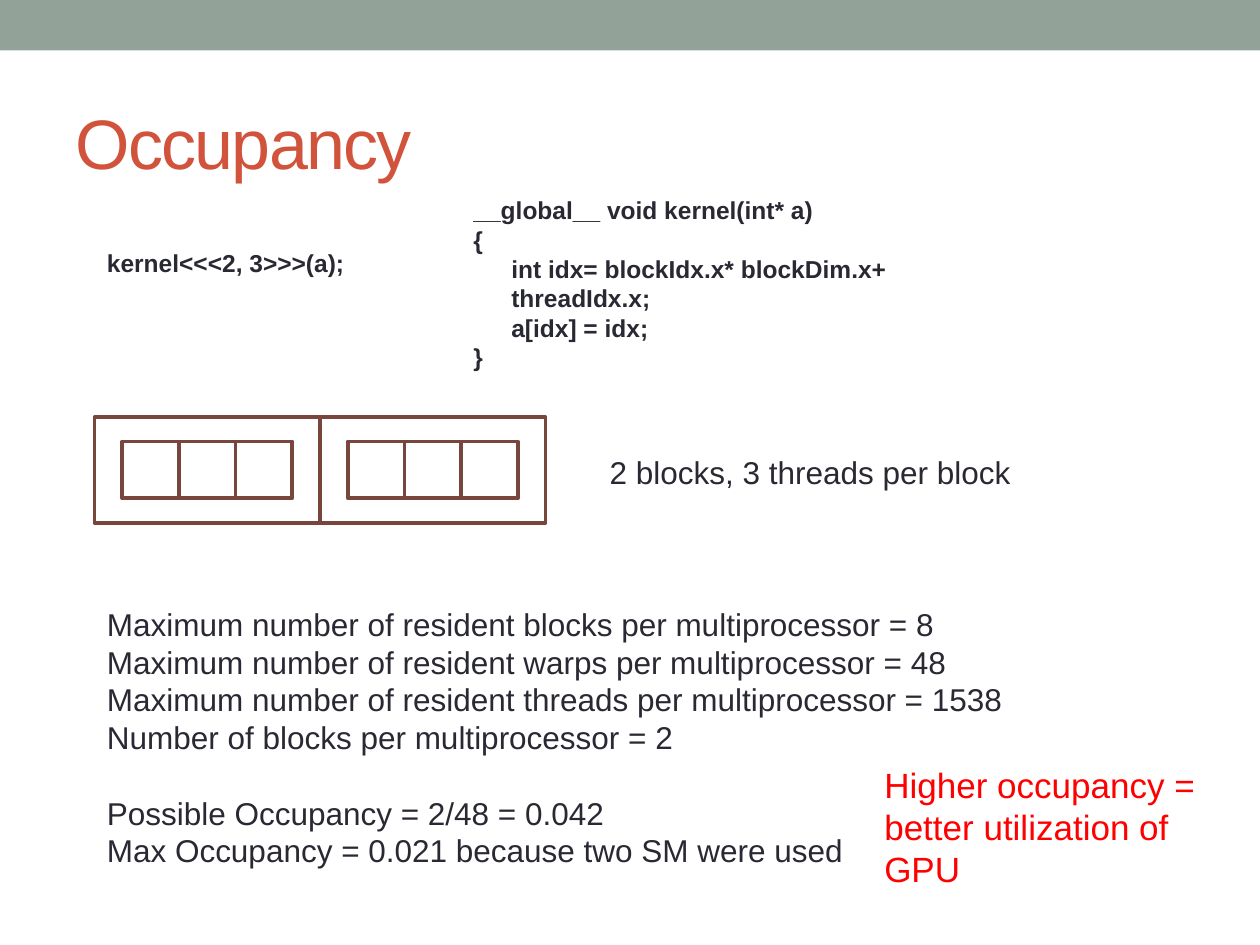
from pptx import Presentation
from pptx.dml.color import RGBColor
from pptx.enum.shapes import MSO_SHAPE
from pptx.enum.text import MSO_ANCHOR, MSO_AUTO_SIZE, PP_ALIGN
from pptx.util import Inches, Pt

COLORS = {"bar": "93A299", "title": "D2533C", "text": "292934",
          "outline": "79463D", "paper": "FFFFFF", "alert": "FF0000"}
FONT = "Arial"

TITLE = "Occupancy"
LAUNCH = ["kernel<<<2, 3>>>(a);"]
KERNEL = [
    "__global__ void kernel(int* a)",
    "{",
    "int idx= blockIdx.x* blockDim.x+ threadIdx.x;",
    "a[idx] = idx;",
    "}",
]
KERNEL_BODY = (2, 3)
CAPTION = ["2 blocks, 3 threads per block"]
LIMITS = [
    "Maximum number of resident blocks per multiprocessor = 8",
    "Maximum number of resident warps per multiprocessor = 48",
    "Maximum number of resident threads per multiprocessor = 1538",
    "Number of blocks per multiprocessor = 2",
    "Possible Occupancy = 2/48 = 0.042",
    "Max Occupancy = 0.021 because two SM were used",
]
FIRST_RESULT = 4
CONCLUSION = ["Higher occupancy = better utilization of GPU"]

BLOCKS, THREADS = 2, 3
BLOCK_LEFT, BLOCK_TOP, BLOCK_WIDTH, BLOCK_HEIGHT = 0.75, 3.31, 1.79, 0.84
THREAD_SIZE = 0.45


def color(name):
    return RGBColor.from_string(COLORS[name])


def style(span, size, tint, bold=False):
    span.font.name = FONT
    span.font.size = Pt(size)
    span.font.bold = bold
    span.font.color.rgb = color(tint)


def add_text(page, place, lines, size, tint="text", bold=False, wrap=True):
    box = page.shapes.add_textbox(*map(Inches, place))
    frame = box.text_frame
    frame.word_wrap = wrap
    frame.auto_size = MSO_AUTO_SIZE.SHAPE_TO_FIT_TEXT
    for index, line in enumerate(lines):
        para = frame.add_paragraph() if index else frame.paragraphs[0]
        span = para.add_run()
        span.text = line
        style(span, size, tint, bold)
    return frame.paragraphs


def add_rect(shapes, place, fill, outline=None):
    rect = shapes.add_shape(MSO_SHAPE.RECTANGLE, *map(Inches, place))
    rect.shadow.inherit = False
    rect.fill.solid()
    rect.fill.fore_color.rgb = color(fill)
    if outline:
        rect.line.color.rgb = color(outline)
        rect.line.width = Pt(2.08)
    else:
        rect.line.fill.background()


def add_title(page):
    title = page.shapes.title
    title.left, title.top, title.width, title.height = map(
        Inches, (0.5, 0.58, 9, 1.08))
    title.text_frame.vertical_anchor = MSO_ANCHOR.MIDDLE
    para = title.text_frame.paragraphs[0]
    para.alignment = PP_ALIGN.LEFT
    span = para.add_run()
    span.text = TITLE
    style(span, 40, "title")
    span.font._element.set("spc", "-100")


def add_blocks(page):
    """Draw each block with its row of threads centred inside it."""
    group = page.shapes.add_group_shape()
    inset = (BLOCK_WIDTH - THREADS * THREAD_SIZE) / 2
    thread_top = BLOCK_TOP + (BLOCK_HEIGHT - THREAD_SIZE) / 2
    for block in range(BLOCKS):
        left = BLOCK_LEFT + block * BLOCK_WIDTH
        add_rect(group.shapes, (left, BLOCK_TOP, BLOCK_WIDTH, BLOCK_HEIGHT),
                 "paper", "outline")
        for thread in range(THREADS):
            thread_left = left + inset + thread * THREAD_SIZE
            add_rect(group.shapes,
                     (thread_left, thread_top, THREAD_SIZE, THREAD_SIZE),
                     "paper", "outline")


def main():
    deck = Presentation()
    deck.slide_width, deck.slide_height = Inches(10), Inches(7.5)
    page = deck.slides.add_slide(deck.slide_layouts[5])

    add_rect(page.shapes, (0, 0, 10, 0.4), "bar")
    add_title(page)
    add_text(page, (0.75, 1.92, 2.09, 0.34), LAUNCH, 14, bold=True, wrap=False)
    code = add_text(page, (3.66, 1.5, 4.17, 1.51), KERNEL, 14, bold=True)
    for index in KERNEL_BODY:
        code[index].level = 1
        properties = code[index]._p.get_or_add_pPr()
        properties.set("marL", str(Inches(0.3)))
        properties.set("indent", "0")
    add_blocks(page)
    add_text(page, (4.74, 3.55, 3.81, 0.4), CAPTION, 18)
    limits = add_text(page, (0.75, 4.75, 7.79, 2.52), LIMITS, 18)
    limits[FIRST_RESULT].space_before = Pt(21.5)
    add_text(page, (6.92, 6.01, 2.83, 1.11), CONCLUSION, 20, "alert")

    deck.save("out.pptx")


if __name__ == "__main__":
    main()
